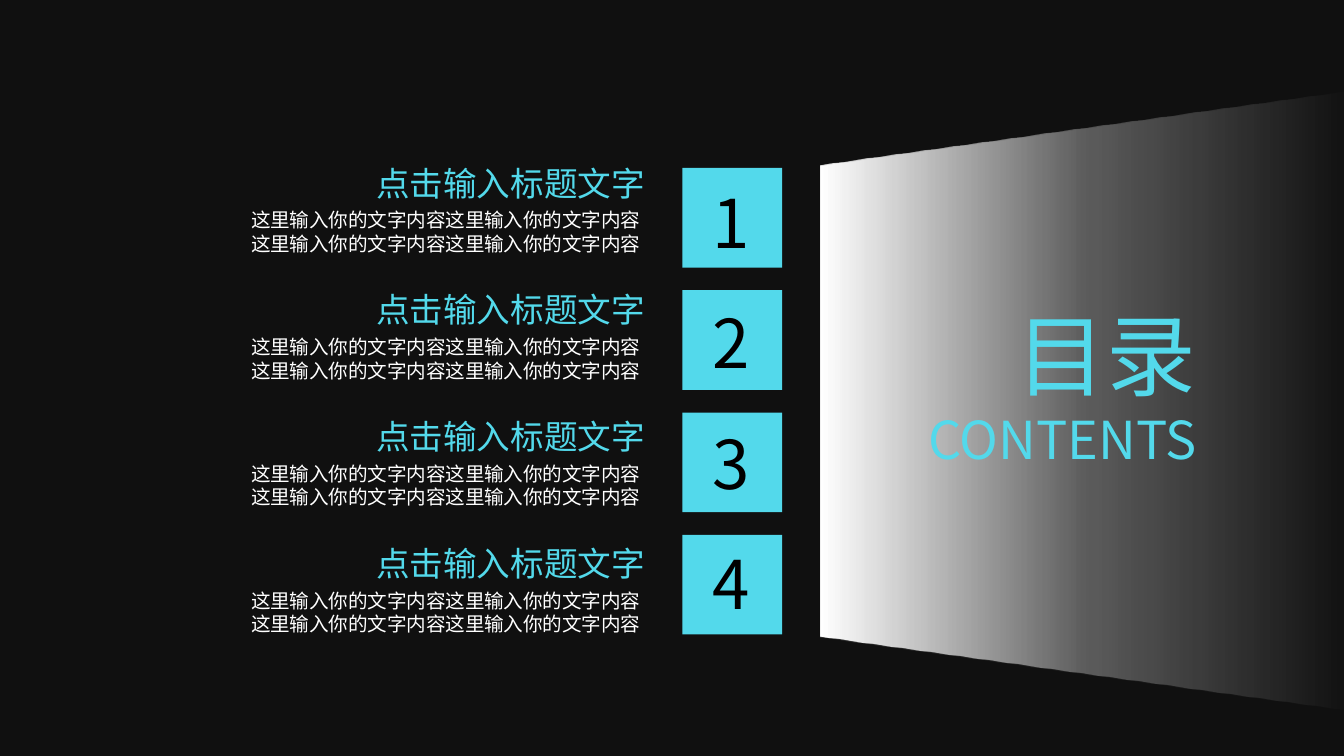
from dataclasses import dataclass

from pptx import Presentation
from pptx.dml.color import RGBColor
from pptx.enum.shapes import MSO_SHAPE
from pptx.enum.text import MSO_ANCHOR, MSO_AUTO_SIZE, PP_ALIGN
from pptx.oxml import parse_xml
from pptx.oxml.ns import nsdecls, qn
from pptx.shapes.autoshape import Shape
from pptx.slide import Slide
from pptx.util import Pt


@dataclass(frozen=True)
class Theme:
    """Colours, fonts and type sizes."""
    back: str = "101010"
    cyan: str = "53D9EB"
    white: str = "FFFFFF"
    black: str = "000000"
    face: str = "Noto Sans CJK SC"
    digit: str = "Noto Sans CJK JP"
    big: float = 48
    sub: float = 28
    num: float = 36
    head: float = 18
    body: float = 10.5


@dataclass(frozen=True)
class Box:
    """A frame in points."""
    left: float
    top: float
    width: float
    height: float

    def down(self, step: float) -> "Box":
        """Return the frame moved down by a step."""
        return Box(self.left, self.top + step, self.width, self.height)

    def spots(self) -> list[Pt]:
        """Return the frame as lengths."""
        return [Pt(v) for v in (self.left, self.top, self.width, self.height)]


@dataclass(frozen=True)
class Line:
    """One paragraph of text and its look."""
    text: str
    size: float
    color: str
    face: str


@dataclass(frozen=True)
class Item:
    """One entry of the contents list."""
    mark: str
    head: str
    body: tuple[str, ...]


THEME = Theme()
HEAD = "点击输入标题文字"
BODY = ("这里输入你的文字内容这里输入你的文字内容",) * 2
ITEMS = [Item(mark, HEAD, BODY) for mark in "1234"]
TILE = Box(365.6, 90, 53.4, 53.4)
TILE_STEP = 65.52
MARK = Box(374.4, 93.4, 34.6, 51.1)
MARK_STEP = 64.6
TITLE = Box(194.4, 83.5, 159.8, 28.8)
NOTE = Box(127.4, 108, 226.8, 32.4)
TEXT_STEP = 67.9
BEAM = Box(414.7, 74.2, 330.5, 280.8)
COVER = Box(478.8, 157, 169.2, 99.4)


def write(shape: Shape, lines: list[Line], align: PP_ALIGN = PP_ALIGN.LEFT) -> None:
    """Fill a shape with lines of text, run by run."""
    frame = shape.text_frame
    frame.word_wrap = False
    frame.auto_size = MSO_AUTO_SIZE.SHAPE_TO_FIT_TEXT
    frame.vertical_anchor = MSO_ANCHOR.TOP
    for i, line in enumerate(lines):
        para = frame.add_paragraph() if i else frame.paragraphs[0]
        para.alignment = align
        run = para.add_run()
        run.text = line.text
        font = run.font
        font.size = Pt(line.size)
        font.color.rgb = RGBColor.from_string(line.color)
        font.name = line.face
        east = parse_xml(f'<a:ea {nsdecls("a")} typeface="{line.face}"/>')
        run.font._element.find(qn("a:latin")).addnext(east)


def label(slide: Slide, box: Box, lines: list[Line]) -> None:
    """Add a text box."""
    write(slide.shapes.add_textbox(*box.spots()), lines)


def block(slide: Slide, kind: MSO_SHAPE, box: Box) -> Shape:
    """Add a plain cyan shape without outline."""
    shape = slide.shapes.add_shape(kind, *box.spots())
    shape.shadow.inherit = False
    shape.line.fill.background()
    shape.fill.solid()
    shape.fill.fore_color.rgb = RGBColor.from_string(THEME.cyan)
    return shape


def beam(slide: Slide) -> None:
    """Add the beam of light that fades to the right."""
    shape = block(slide, MSO_SHAPE.TRAPEZOID, BEAM)
    shape.rotation = 270
    shape.adjustments[0] = 0.14
    stops = "".join(
        f'<a:gs pos="{pos * 1000}"><a:srgbClr val="{THEME.white}">'
        f'<a:alpha val="{alpha * 1000}"/></a:srgbClr></a:gs>'
        for pos, alpha in ((0, 100), (50, 32), (100, 0))
    )
    fade = parse_xml(
        f'<a:gradFill {nsdecls("a")} rotWithShape="1"><a:gsLst>{stops}</a:gsLst>'
        '<a:lin ang="5400000" scaled="0"/></a:gradFill>'
    )
    solid = shape.element.spPr.find(qn("a:solidFill"))
    solid.getparent().replace(solid, fade)


def entry(slide: Slide, item: Item, row: int) -> None:
    """Add the heading, body and number of one entry."""
    t = THEME
    label(slide, TITLE.down(row * TEXT_STEP), [Line(item.head, t.head, t.cyan, t.face)])
    label(slide, NOTE.down(row * TEXT_STEP),
          [Line(text, t.body, t.white, t.face) for text in item.body])
    label(slide, MARK.down(row * MARK_STEP), [Line(item.mark, t.num, t.black, t.digit)])


def cover(slide: Slide) -> None:
    """Place the slide title on top of the beam."""
    title = slide.shapes.title
    title.left, title.top, title.width, title.height = COVER.spots()
    write(title, [Line("目录", THEME.big, THEME.cyan, THEME.face),
                  Line("CONTENTS", THEME.sub, THEME.cyan, THEME.face)], PP_ALIGN.RIGHT)
    title.element.getparent().append(title.element)


def main() -> None:
    """Build and save the slide."""
    deck = Presentation()
    deck.slide_width, deck.slide_height = Pt(720), Pt(405)
    slide = deck.slides.add_slide(deck.slide_layouts[5])
    fill = slide.background.fill
    fill.solid()
    fill.fore_color.rgb = RGBColor.from_string(THEME.back)
    for row in range(len(ITEMS)):
        block(slide, MSO_SHAPE.RECTANGLE, TILE.down(row * TILE_STEP))
    beam(slide)
    for row, item in enumerate(ITEMS):
        entry(slide, item, row)
    cover(slide)
    deck.save("out.pptx")


if __name__ == "__main__":
    main()
